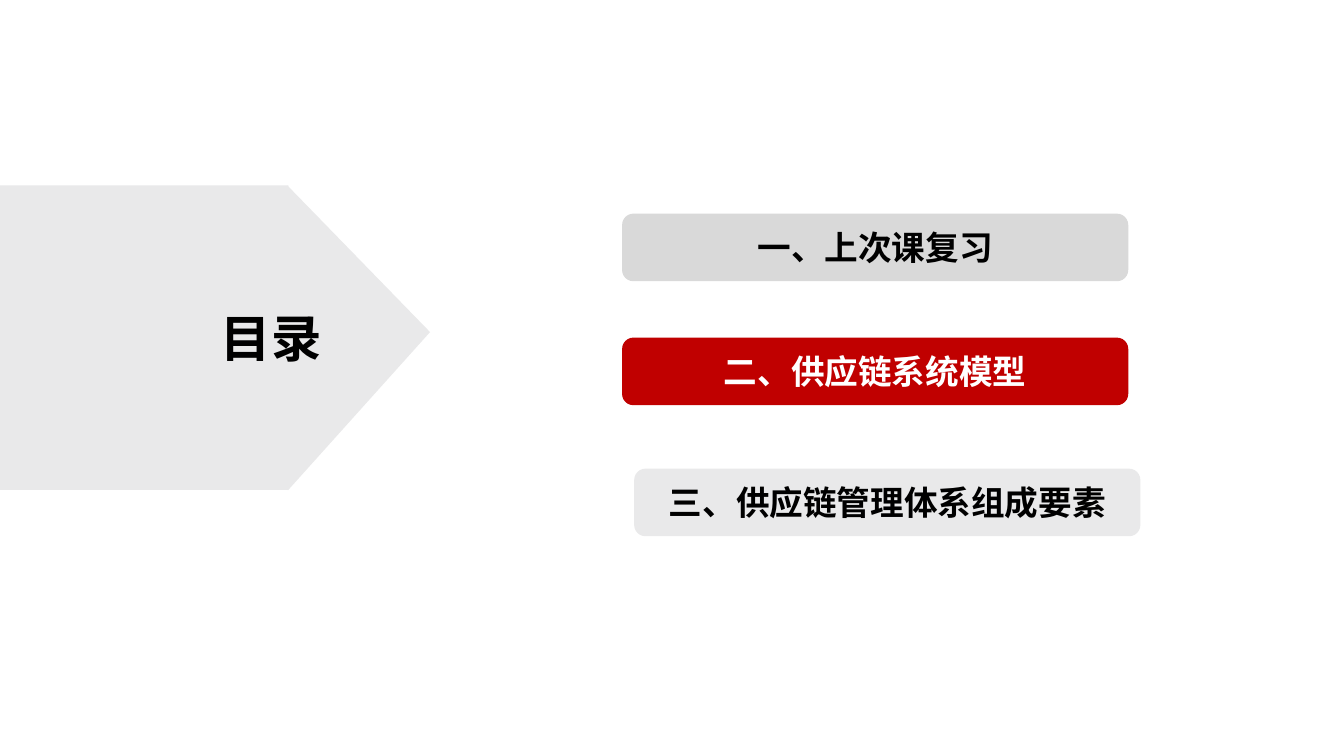
from lxml import etree
from pptx import Presentation
from pptx import util as u
from pptx.dml.color import RGBColor
from pptx.enum import shapes, text
from pptx.oxml.ns import qn

BLACK, WHITE, RED = "000000", "FFFFFF", "C00000"
PALE_GRAY, GRAY = "E9E9EA", "D9D9D9"


def rgb(value):
    return RGBColor.from_string(value)


class AgendaSlide:
    font = "Noto Sans CJK SC"

    def __init__(self, slide):
        self.slide = slide

    def block(self, parent, preset, box, fill):
        """Add a flat, borderless preset shape to a shape collection."""
        shape = parent.add_shape(preset, *map(u.Inches, box))
        shape.shadow.inherit = False
        shape.fill.solid()
        shape.fill.fore_color.rgb = rgb(fill)
        shape.line.fill.background()
        return shape

    def label(self, frame, words, size, color, align):
        """Fill a text frame with one bold line."""
        frame.text = words
        paragraph = frame.paragraphs[0]
        paragraph.alignment = align
        run = paragraph.runs[0]
        run.font.name = self.font
        run.font.size = u.Pt(size)
        run.font.bold = True
        run.font.color.rgb = rgb(color)
        east_asian = etree.Element(qn("a:ea"), typeface=self.font)
        run.font._element.find(qn("a:latin")).addnext(east_asian)

    def arrow(self):
        """Add the banner: a rectangle with a triangle pointing right."""
        parts = self.slide.shapes.add_group_shape().shapes
        self.block(parts, shapes.MSO_SHAPE.RECTANGLE, (0, 1.84, 2.86, 3.02), PALE_GRAY)
        tip = self.block(parts, shapes.MSO_SHAPE.ISOSCELES_TRIANGLE,
                         (2.05, 2.65, 3.02, 1.41), PALE_GRAY)
        tip.rotation = 90
        tip.adjustments[0] = 0.48

    def title(self, words, box):
        frame = self.slide.shapes.add_textbox(*map(u.Inches, box)).text_frame
        frame.word_wrap = False
        frame.auto_size = text.MSO_AUTO_SIZE.SHAPE_TO_FIT_TEXT
        self.label(frame, words, 36, BLACK, text.PP_ALIGN.LEFT)

    def chapter(self, words, left, top, fill, color):
        bar = self.block(self.slide.shapes, shapes.MSO_SHAPE.ROUNDED_RECTANGLE,
                         (left, top, 5.02, 0.67), fill)
        bar.text_frame.vertical_anchor = text.MSO_ANCHOR.MIDDLE
        self.label(bar.text_frame, words, 24, color, text.PP_ALIGN.CENTER)


def main():
    deck = Presentation()
    deck.slide_width, deck.slide_height = u.Inches(13.33), u.Inches(7.5)
    agenda = AgendaSlide(deck.slides.add_slide(deck.slide_layouts[6]))

    agenda.arrow()
    agenda.title("目录", (2.09, 3, 1.21, 0.71))
    chapters = [
        ("一、上次课复习", 6.17, 2.12, GRAY, BLACK),
        ("二、供应链系统模型", 6.17, 3.35, RED, WHITE),
        ("三、供应链管理体系组成要素", 6.29, 4.65, PALE_GRAY, BLACK),
    ]
    for chapter in chapters:
        agenda.chapter(*chapter)

    deck.save("out.pptx")


if __name__ == "__main__":
    main()
